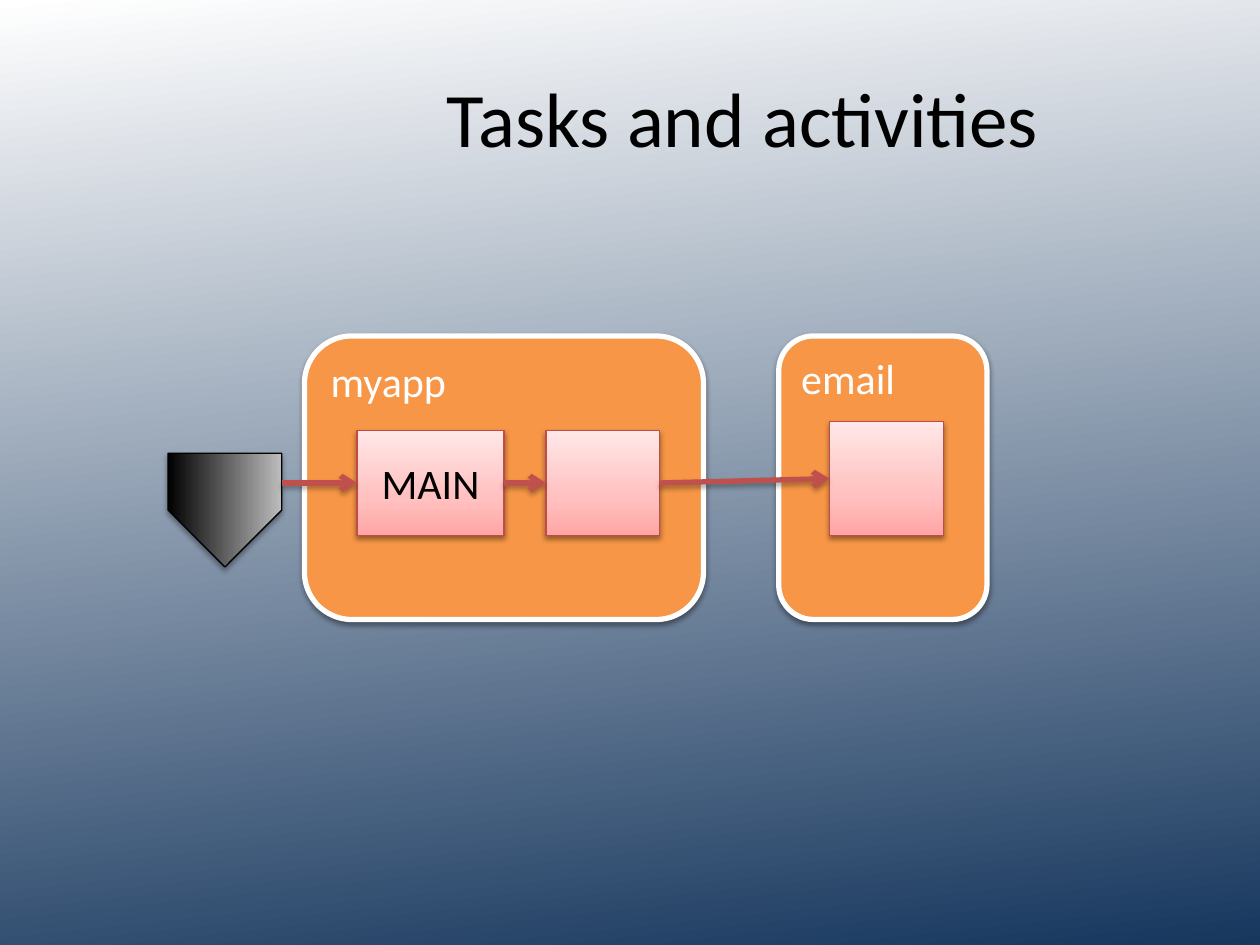
"""Build a slide on tasks and activities: two apps, their screens and the arrows between them."""
from dataclasses import dataclass

import pptx
import pptx.dml.color
import pptx.enum.shapes
import pptx.enum.text
import pptx.oxml
import pptx.oxml.ns
import pptx.util
from lxml import etree

Pt = pptx.util.Pt
RGB = pptx.dml.color.RGBColor.from_string
qn = pptx.oxml.ns.qn
Kind = pptx.enum.shapes.MSO_SHAPE
Align = pptx.enum.text.PP_ALIGN
Anchor = pptx.enum.text.MSO_ANCHOR


@dataclass(frozen=True)
class Theme:
    font: str = "Calibri"
    head: int = 44
    body: int = 24
    dark: str = "000000"
    light: str = "FFFFFF"
    app: str = "F79646"
    edge: str = "BF4C48"
    arrow: str = "C0504D"
    back: tuple = ((0, "17375E"), (100, "FFFFFF"))
    card: tuple = ((0, "FFA6A5"), (35, "FFC0BF"), (100, "FFE7E7"))
    plate: tuple = ((0, "000000"), (100, "BDBDBD"))
    thin: float = 0.75
    thick: int = 3


THEME = Theme()


def blend(fill, root, stops, angle):
    fill.gradient()
    fill.gradient_angle = angle
    group = next(root.iter(qn("a:gsLst")))
    for old in list(group):
        group.remove(old)
    for spot, color in stops:
        stop = etree.SubElement(group, qn("a:gs"), pos=str(spot * 1000))
        etree.SubElement(stop, qn("a:srgbClr"), val=color)


def shade(item, alpha, dist):
    group = etree.SubElement(item.element.spPr, qn("a:effectLst"))
    cast = etree.SubElement(group, qn("a:outerShdw"), blurRad=str(Pt(3.1)),
                            dist=str(Pt(dist)), dir="5400000", rotWithShape="0")
    color = etree.SubElement(cast, qn("a:srgbClr"), val=THEME.dark)
    etree.SubElement(color, qn("a:alpha"), val=str(alpha * 1000))


def write(item, text, size, color, align, anchor):
    frame = item.text_frame
    frame.word_wrap = True
    frame.vertical_anchor = anchor
    para = frame.paragraphs[0]
    para.text = text
    para.alignment = align
    para.font.name = THEME.font
    para.font.size = Pt(size)
    para.font.color.rgb = RGB(color)


def stroke(item, color, width):
    item.line.color.rgb = RGB(color)
    item.line.width = Pt(width)


def add_title(slide, text, *area):
    box = slide.shapes.add_textbox(*map(Pt, area))
    write(box, text, THEME.head, THEME.dark, Align.CENTER, Anchor.MIDDLE)


def add_app(slide, name, left, width):
    box = slide.shapes.add_shape(Kind.ROUNDED_RECTANGLE, Pt(left), Pt(192), Pt(width), Pt(162))
    box.fill.solid()
    box.fill.fore_color.rgb = RGB(THEME.app)
    stroke(box, THEME.light, THEME.thick)
    shade(box, 38, 1.6)
    write(box, name, THEME.body, THEME.light, Align.LEFT, Anchor.TOP)


def add_card(slide, *area, text=""):
    card = slide.shapes.add_shape(Kind.RECTANGLE, *map(Pt, area))
    blend(card.fill, card.element, THEME.card, 90)
    stroke(card, THEME.edge, THEME.thin)
    shade(card, 38, 1.6)
    if text:
        write(card, text, THEME.body, THEME.dark, Align.CENTER, Anchor.MIDDLE)


def add_plate(slide, left, top, size):
    plate = slide.shapes.add_shape(Kind.PENTAGON, Pt(left), Pt(top), Pt(size), Pt(size))
    plate.rotation = 90
    blend(plate.fill, plate.element, THEME.plate, 90)
    stroke(plate, THEME.dark, THEME.thin)
    shade(plate, 35, 1.8)


def add_arrow(slide, *ends):
    straight = pptx.enum.shapes.MSO_CONNECTOR.STRAIGHT
    arrow = slide.shapes.add_connector(straight, *map(Pt, ends))
    stroke(arrow, THEME.arrow, THEME.thick)
    etree.SubElement(arrow.line._get_or_add_ln(), qn("a:tailEnd"), type="arrow")
    shade(arrow, 35, 1.8)


def main():
    deck = pptx.Presentation()
    deck.slide_width, deck.slide_height = Pt(720), Pt(540)
    slide = deck.slides.add_slide(deck.slide_layouts[6])
    blend(slide.background.fill, slide.element, THEME.back, 96)
    add_title(slide, "Tasks and activities", 165, 21.6, 519, 90)
    add_app(slide, "myapp", 174, 228)
    add_card(slide, 204, 246, 84, 60, text="MAIN")
    add_card(slide, 312, 246, 65, 60)
    add_app(slide, "email", 445, 119)
    add_card(slide, 474, 241, 65, 65)
    add_arrow(slide, 288, 276, 312, 276)
    add_arrow(slide, 377, 276, 474, 273.5)
    add_plate(slide, 96, 259, 65)
    add_arrow(slide, 161, 276, 204, 276)
    deck.save("out.pptx")


if __name__ == "__main__":
    main()
